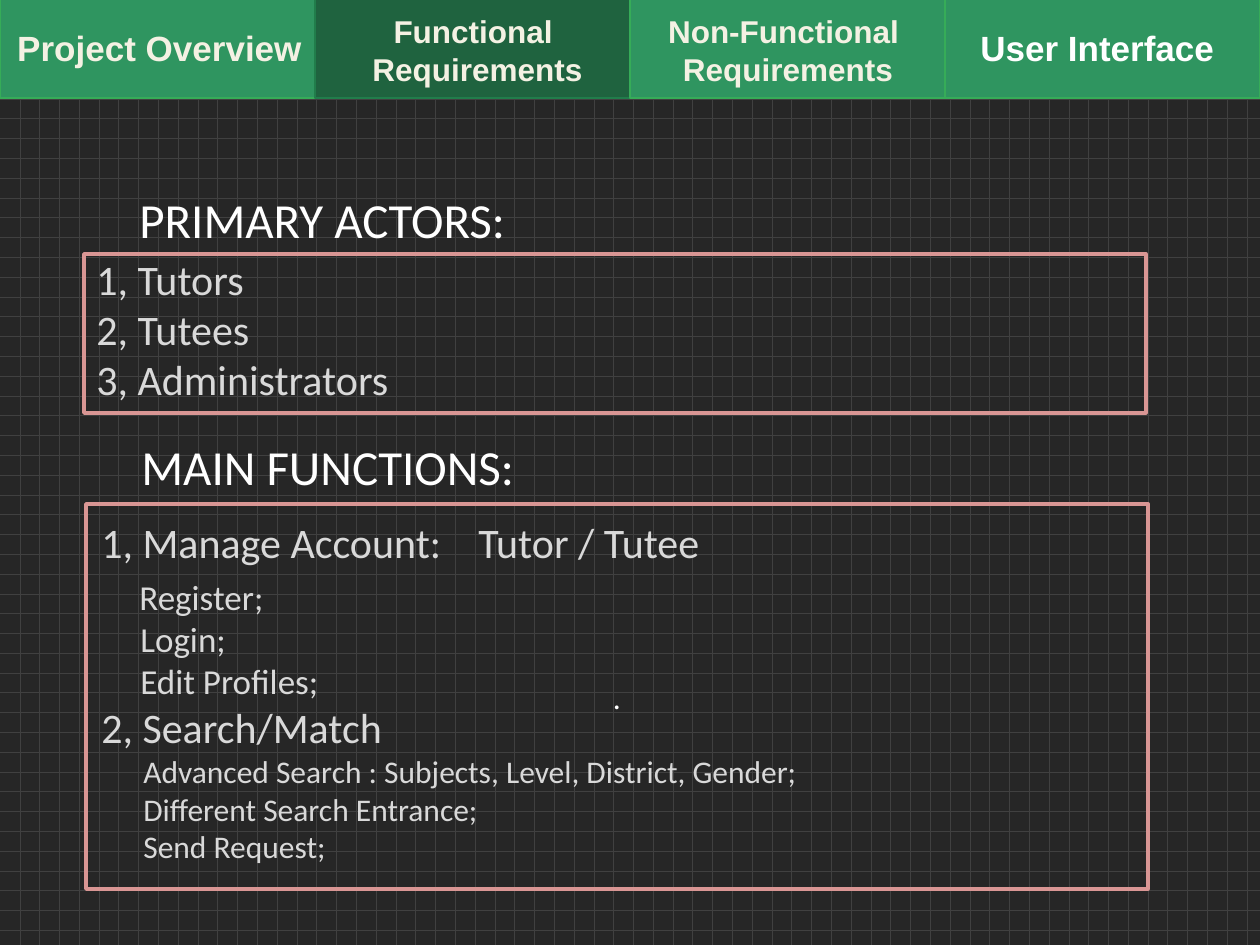
"""Build the functional requirements slide: navigation tabs, primary actors and main functions."""
from lxml import etree
from pptx import Presentation
from pptx import util as u
from pptx.dml.color import RGBColor
from pptx.enum import dml, shapes, text
from pptx.oxml.ns import qn

PX = 914400 // 126
THEME = {
    "grid": "404040", "ground": "262626", "tab": "2F9560", "tab_active": "1F633F",
    "tab_line": "36AC58", "active_line": "217D4B", "cream": "F4F1E3", "white": "FFFFFF",
    "body": "D9D9D9", "frame": "D99694", "nav_font": "Arial", "body_font": "Calibri",
    "heading": 28, "item": 24, "nav": 20, "detail": 20, "small": 18,
}


def add_panel(kind, box, line, line_width, fill=None):
    panel = slide.shapes.add_shape(kind, *[v * PX for v in box])
    panel.shadow.inherit = False
    panel.line.color.rgb = RGBColor.from_string(THEME[line])
    panel.line.width = u.Pt(line_width)
    if fill:
        panel.fill.solid()
        panel.fill.fore_color.rgb = RGBColor.from_string(THEME[fill])
    else:
        panel.fill.background()
    return panel


def write(frame, rows, color, font="body_font", bold=False, align=text.PP_ALIGN.LEFT):
    frame.word_wrap = True
    for index, (words, size, indent, before) in enumerate(rows):
        paragraph = frame.add_paragraph() if index else frame.paragraphs[0]
        paragraph.text = words
        paragraph.alignment = align
        properties = paragraph._p.get_or_add_pPr()
        if indent:
            properties.set("marL", str(indent * PX))
        if before:
            paragraph.space_before = u.Pt(before)
        if "\t" in words:
            stops = etree.SubElement(properties, qn("a:tabLst"))
            etree.SubElement(stops, qn("a:tab"), pos=str(377 * PX), algn="l")
        paragraph.font.size = u.Pt(THEME[size])
        paragraph.font.name = THEME[font]
        paragraph.font.bold = bold
        paragraph.font.color.rgb = RGBColor.from_string(THEME[color])


deck = Presentation()
deck.slide_width, deck.slide_height = 1260 * PX, 945 * PX
slide = deck.slides.add_slide(deck.slide_layouts[6])
ground = slide.background.fill
ground.patterned()
ground.pattern = dml.MSO_PATTERN.DOTTED_GRID
ground.fore_color.rgb = RGBColor.from_string(THEME["grid"])
ground.back_color.rgb = RGBColor.from_string(THEME["ground"])

center, left = text.PP_ALIGN.CENTER, text.PP_ALIGN.LEFT
tabs = [
    (["Project Overview"], (-53, 20, 425, 55), "nav", "cream", center),
    (["Functional ", "Requirements"], (265, 6, 425, 89), "small", "cream", center),
    (["Non-Functional ", "Requirements"], (473, 6, 630, 89), "small", "cream", center),
    (["User Interface"], (968, 20, 277, 55), "nav", "white", left),
]
ACTIVE_TAB = 1
for position in range(len(tabs)):
    active = position == ACTIVE_TAB
    add_panel(shapes.MSO_SHAPE.RECTANGLE, (position * 315, -1, 315, 99),
              "active_line" if active else "tab_line", 0.75, "tab_active" if active else "tab")
for lines, box, size, color, align in tabs:
    label = slide.shapes.add_textbox(*[v * PX for v in box])
    write(label.text_frame, [(line, size, 0, 0) for line in lines], color, "nav_font", True, align)

add_panel(shapes.MSO_SHAPE.FLOWCHART_PROCESS, (84, 254, 1062, 159), "frame", 2)
functions_frame = add_panel(shapes.MSO_SHAPE.FLOWCHART_PROCESS, (86, 504, 1062, 385), "frame", 2)
functions_frame.text_frame.vertical_anchor = text.MSO_ANCHOR.MIDDLE
write(functions_frame.text_frame, [(".", "small", 0, 0)], "white", align=center)

actors = ["1, Tutors", "2, Tutees", "3, Administrators"]
functions = [
    ("1, Manage Account:\tTutor / Tutee", "item", 0, 0),
    ("Register;", "detail", 38, 5),
    ("Login;", "detail", 39, 0),
    ("Edit Profiles;", "detail", 39, 0),
    ("2, Search/Match", "item", 0, 0),
    ("Advanced Search : Subjects, Level, District, Gender;", "small", 42, 0),
    ("Different Search Entrance;", "small", 42, 0),
    ("Send Request;", "small", 42, 0),
]
sections = [
    ((127, 183, 575, 72), [("PRIMARY ACTORS:", "heading", 0, 0)], "white"),
    ((84, 247, 1002, 166), [(actor, "item", 0, 0) for actor in actors], "body"),
    ((129, 430, 436, 72), [("MAIN FUNCTIONS:", "heading", 0, 0)], "white"),
    ((89, 510, 856, 366), functions, "body"),
]
for box, rows, color in sections:
    section = slide.shapes.add_textbox(*[v * PX for v in box])
    write(section.text_frame, rows, color)

deck.save("out.pptx")
